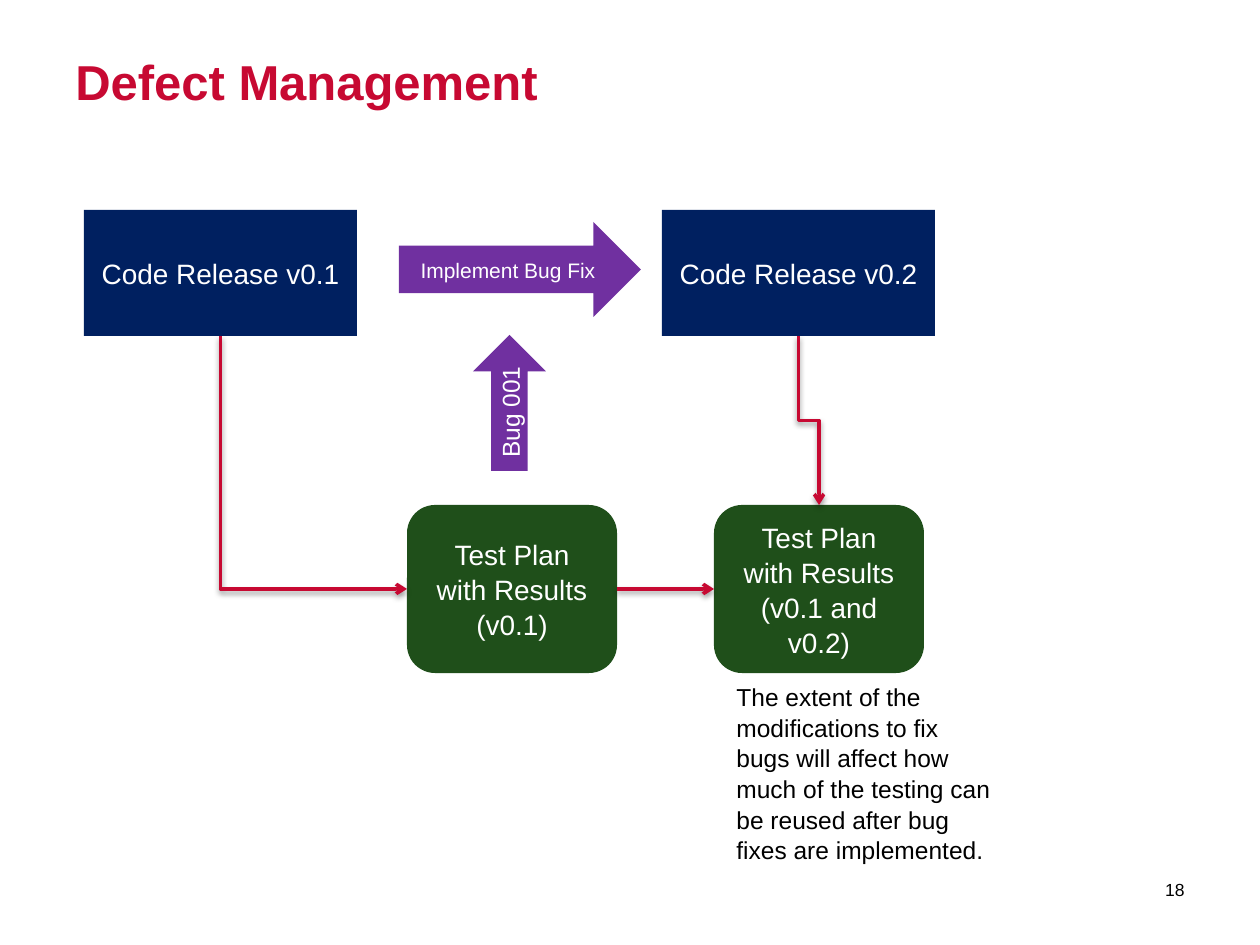
import pptx
import pptx.util
import pptx.dml.color
import pptx.enum.shapes
import pptx.enum.text
import lxml.etree

PX = 914400 / 126
COLORS = {
    "red": "C70932",
    "navy": "002060",
    "purple": "7030A0",
    "green": "1F4F1A",
    "white": "FFFFFF",
    "black": "000000",
}
DRAWING = "http://schemas.openxmlformats.org/drawingml/2006/main"
SHADOW = (
    f'<a:effectLst xmlns:a="{DRAWING}">'
    '<a:outerShdw blurRad="40000" dist="20000" dir="5400000" rotWithShape="0">'
    '<a:srgbClr val="000000"><a:alpha val="38000"/></a:srgbClr>'
    "</a:outerShdw></a:effectLst>"
)
SHAPE = pptx.enum.shapes.MSO_SHAPE
ALIGN = pptx.enum.text.PP_ALIGN
ANCHOR = pptx.enum.text.MSO_ANCHOR


def emu(*lengths):
    return [pptx.util.Emu(round(length * PX)) for length in lengths]


def write(shape, lines, size, color, align, anchor, bold=False):
    """Fill the text frame of a shape, one paragraph per line."""
    frame = shape.text_frame
    frame.word_wrap = True
    frame.vertical_anchor = anchor
    for index, line in enumerate(lines):
        paragraph = frame.add_paragraph() if index else frame.paragraphs[0]
        paragraph.alignment = align
        paragraph.line_spacing = 1.04
        run = paragraph.add_run()
        run.text = line
        run.font.name = "Arial"
        run.font.size = pptx.util.Pt(size)
        run.font.bold = bold
        run.font.color.rgb = pptx.dml.color.RGBColor.from_string(COLORS[color])


presentation = pptx.Presentation()
presentation.slide_width, presentation.slide_height = emu(1260, 945)
slide = presentation.slides.add_slide(presentation.slide_layouts[6])

# Title, note and page number
note = (
    "The extent of the modifications to fix bugs will affect how much of "
    "the testing can be reused after bug fixes are implemented."
)
texts = [
    ((63, 43, 1134, 152), "Defect Management", 28, "red", ALIGN.LEFT, ANCHOR.TOP, True),
    ((724, 675, 282, 190), note, 14, "black", ALIGN.LEFT, ANCHOR.TOP, False),
    ((1109, 864, 88, 50), "18", 10, "black", ALIGN.RIGHT, ANCHOR.MIDDLE, False),
]
for box, text, size, color, align, anchor, bold in texts:
    write(slide.shapes.add_textbox(*emu(*box)), [text], size, color, align, anchor, bold)

# Releases, test plans and block arrows
release_size = (273, 126)
plan_size = (210, 168)
blocks = {
    "old release": (SHAPE.RECTANGLE, (84, 210, *release_size), "navy", 16, ["Code Release v0.1"]),
    "new release": (SHAPE.RECTANGLE, (662, 210, *release_size), "navy", 16, ["Code Release v0.2"]),
    "old plan": (SHAPE.ROUNDED_RECTANGLE, (407, 505, *plan_size), "green", 16,
                 ["Test Plan with Results", "(v0.1)"]),
    "new plan": (SHAPE.ROUNDED_RECTANGLE, (714, 505, *plan_size), "green", 16,
                 ["Test Plan with Results", "(v0.1 and v0.2)"]),
    "fix": (SHAPE.RIGHT_ARROW, (399, 222, 242, 95), "purple", 12, ["Implement Bug Fix"]),
    "bug": (SHAPE.UP_ARROW, (473, 335, 73, 136), "purple", 14, ["Bug 001"]),
}
shapes = {}
for name, (kind, box, color, size, lines) in blocks.items():
    shape = slide.shapes.add_shape(kind, *emu(*box))
    shape.shadow.inherit = False
    shape.fill.solid()
    shape.fill.fore_color.rgb = pptx.dml.color.RGBColor.from_string(COLORS[color])
    shape.line.fill.background()
    write(shape, lines, size, "white", ALIGN.CENTER, ANCHOR.MIDDLE)
    shapes[name] = shape
shapes["bug"].text_frame._txBody.bodyPr.set("vert", "vert270")

# Elbow connectors; sites count counter-clockwise from the top
TOP, LEFT, BOTTOM, RIGHT = range(4)
links = [
    ("new release", BOTTOM, "new plan", TOP, "bentConnector3"),
    ("old release", BOTTOM, "old plan", LEFT, "bentConnector2"),
    ("old plan", RIGHT, "new plan", LEFT, "bentConnector3"),
]
for start, start_site, end, end_site, preset in links:
    connector = slide.shapes.add_connector(pptx.enum.shapes.MSO_CONNECTOR.ELBOW, 0, 0, 0, 0)
    connector.begin_connect(shapes[start], start_site)
    connector.end_connect(shapes[end], end_site)
    properties = connector.element.spPr
    properties.prstGeom.set("prst", preset)
    if start_site == BOTTOM:
        # A path that leaves downwards is a sideways one turned about its centre
        across, down = connector.width, connector.height
        connector.left += (across - down) // 2
        connector.top += (down - across) // 2
        connector.width, connector.height = down, across
        properties.xfrm.set("rot", "16200000")
        properties.xfrm.set("flipH", "1")
    connector.line.width = pptx.util.Pt(2)
    connector.line.color.rgb = pptx.dml.color.RGBColor.from_string(COLORS["red"])
    line = properties.find(f"{{{DRAWING}}}ln")
    lxml.etree.SubElement(line, f"{{{DRAWING}}}tailEnd", type="arrow")
    properties.append(lxml.etree.fromstring(SHADOW))

presentation.save("out.pptx")
